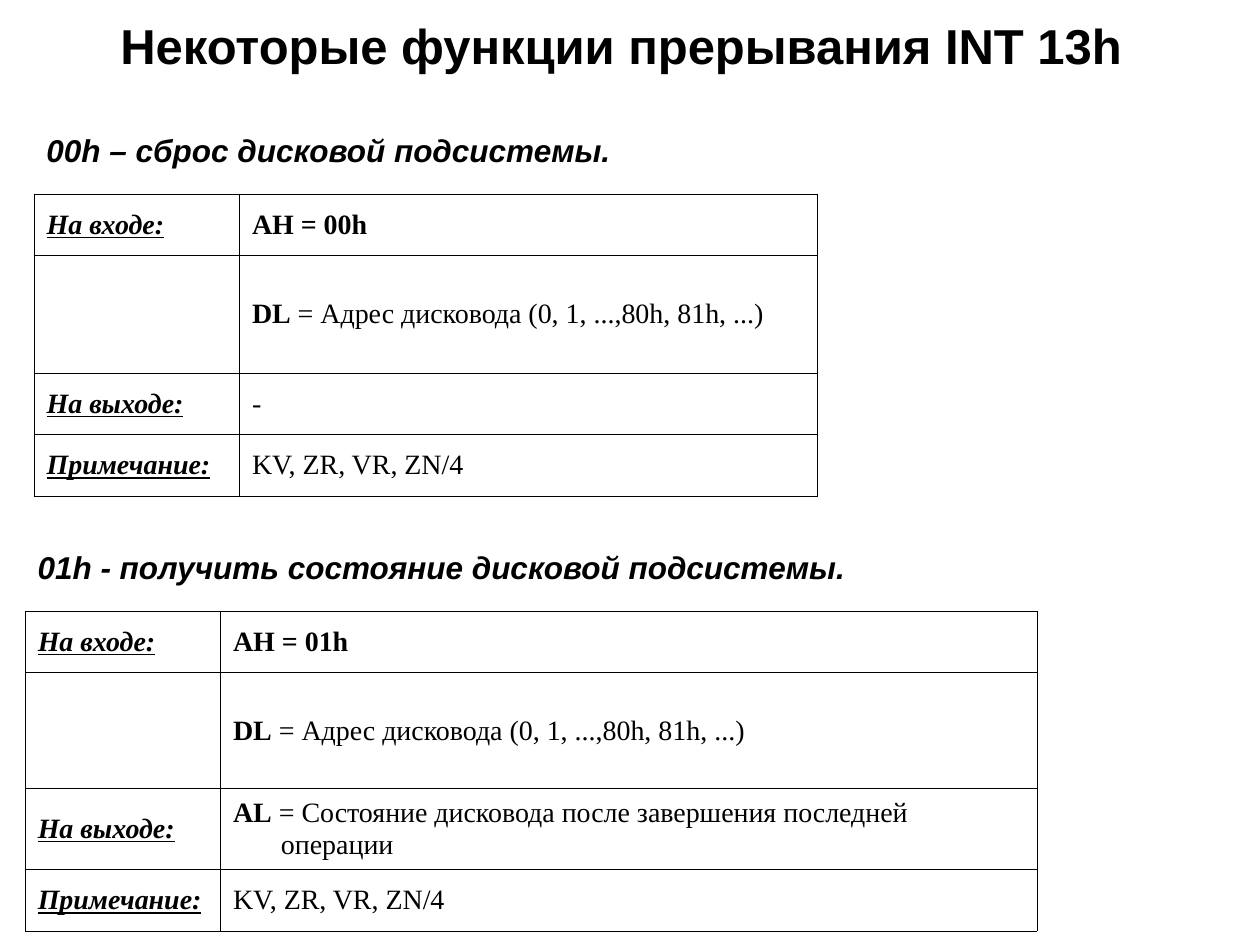
from lxml.etree import SubElement
from pptx import Presentation
from pptx.dml.color import RGBColor
from pptx.enum.text import MSO_ANCHOR, PP_ALIGN
from pptx.oxml.ns import qn
from pptx.util import Inches, Pt

GRID = 0.1
BLACK = "000000"
DRIVE = "Адрес дисковода (0, 1, ...,80h, 81h, ...)"
MACHINES = "KV, ZR, VR, ZN/4"


def grid(count):
    return Inches(count * GRID)


def color(code):
    return RGBColor.from_string(code)


def write_text(paragraph, text, font="Times New Roman", size=16, bold=False,
               italic=False, underline=False, align=PP_ALIGN.LEFT, hanging=0):
    paragraph.alignment = align
    if hanging:
        properties = paragraph._p.get_or_add_pPr()
        properties.set("marL", str(grid(hanging)))
        properties.set("indent", str(-grid(hanging)))
    run = paragraph.add_run()
    run.text = text
    run.font.name = font
    run.font.size = Pt(size)
    run.font.bold = bold
    run.font.italic = italic
    run.font.underline = underline
    run.font.color.rgb = color(BLACK)


def add_heading(slide, text, box, anchor=MSO_ANCHOR.TOP, **text_format):
    shape = slide.shapes.add_textbox(*map(grid, box))
    frame = shape.text_frame
    frame.word_wrap = True
    frame.vertical_anchor = anchor
    write_text(frame.paragraphs[0], text, font="Arial", bold=True, **text_format)


def add_borders(cell):
    properties = cell._tc.get_or_add_tcPr()
    for side in ("a:lnL", "a:lnR", "a:lnT", "a:lnB"):
        line = SubElement(properties, qn(side), w=str(Pt(0.45)))
        fill = SubElement(line, qn("a:solidFill"))
        SubElement(fill, qn("a:srgbClr"), val=BLACK)


def format_cell(cell):
    add_borders(cell)
    cell.fill.background()
    cell.vertical_anchor = MSO_ANCHOR.MIDDLE
    cell.margin_left = cell.margin_right = grid(1)
    cell.margin_top = cell.margin_bottom = grid(0.5)


def add_function_table(slide, left, top, widths, heights, rows):
    shape = slide.shapes.add_table(len(rows), len(widths), grid(left), grid(top),
                                   grid(sum(widths)), grid(sum(heights)))
    table = shape.table
    table.first_row = table.horz_banding = False
    for column, width in zip(table.columns, widths):
        column.width = grid(width)
    for row, height in zip(table.rows, heights):
        row.height = grid(height)
    for row, (label, register, value) in zip(table.rows, rows):
        label_cell, value_cell = row.cells
        format_cell(label_cell)
        format_cell(value_cell)
        if label:
            write_text(label_cell.text_frame.paragraphs[0], label, bold=True,
                       italic=True, underline=True, hanging=3.8)
        paragraph = value_cell.text_frame.paragraphs[0]
        if register:
            write_text(paragraph, register, bold=True, hanging=3.8)
        if value:
            write_text(paragraph, value, hanging=3.8)


def function_rows(code, output_register, output):
    return [
        ("На входе:", f"AH = {code}", ""),
        ("", "DL", f" = {DRIVE}"),
        ("На выходе:", output_register, output),
        ("Примечание:", "", MACHINES),
    ]


def main():
    presentation = Presentation()
    presentation.slide_width = grid(100)
    presentation.slide_height = grid(75)
    slide = presentation.slides.add_slide(presentation.slide_layouts[6])

    add_heading(slide, "Некоторые функции прерывания INT 13h", (4.3, 1.3, 90, 4.6),
                anchor=MSO_ANCHOR.MIDDLE, size=28, align=PP_ALIGN.CENTER)

    add_heading(slide, "00h – сброс дисковой подсистемы.", (2.7, 9.9, 52.8, 5.5),
                size=18, italic=True, hanging=3.8)
    add_function_table(slide, 2.7, 15.4, (16.3, 45.9), (4.9, 9.3, 4.9, 4.9),
                       function_rows("00h", "", "-"))

    add_heading(slide, "01h - получить состояние дисковой подсистемы.",
                (2, 43, 67, 4.4), size=18, italic=True)
    add_function_table(slide, 2, 48.5, (15.5, 64.8), (4.9, 9.2, 6.4, 4.9),
                       function_rows("01h", "AL", " = Состояние дисковода после "
                                     "завершения последней операции"))

    presentation.save("out.pptx")


if __name__ == "__main__":
    main()
